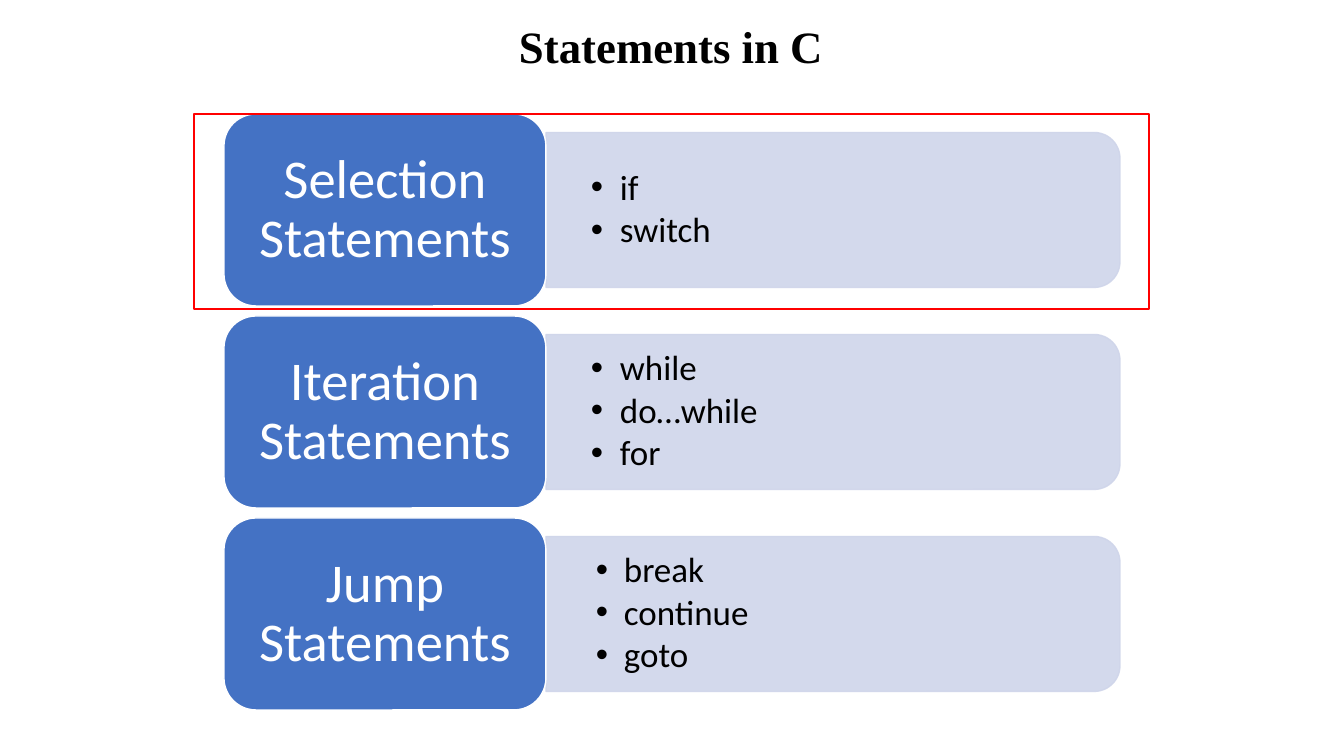
from lxml.etree import SubElement
from pptx import Presentation
from pptx.dml.color import RGBColor
from pptx.enum.shapes import MSO_SHAPE
from pptx.enum.text import MSO_ANCHOR, PP_ALIGN
from pptx.oxml.ns import qn
from pptx.util import Pt

SCALE = 914400 / 100.8
BLACK = RGBColor(0x00, 0x00, 0x00)
WHITE = RGBColor(0xFF, 0xFF, 0xFF)
BLUE = RGBColor(0x44, 0x72, 0xC4)
PALE = RGBColor(0xCF, 0xD5, 0xEA)
RED = RGBColor(0xFF, 0x00, 0x00)

GROUPS = [
    ("Selection Statements", ["if", "switch"], 64, 29),
    ("Iteration Statements", ["while", "do…while", "for"], 64, 29),
    ("Jump Statements", ["break", "continue", "goto"], 68, 28),
]


def px(size):
    return round(size * SCALE)


def write(shape, lines, font="Calibri", size=25, color=BLACK, bold=False,
          align=PP_ALIGN.LEFT, anchor=MSO_ANCHOR.MIDDLE, wrap=True,
          inset=(10, 5), spacing=None, after=0, bullet=None):
    frame = shape.text_frame
    frame.word_wrap = wrap
    frame.vertical_anchor = anchor
    frame.margin_left = frame.margin_right = px(inset[0])
    frame.margin_top = frame.margin_bottom = px(inset[1])
    for index, line in enumerate(lines):
        para = frame.add_paragraph() if index else frame.paragraphs[0]
        para.alignment = align
        para.line_spacing = spacing
        para.space_after = Pt(after)
        if bullet:
            para.level = 1
            props = para._p.get_or_add_pPr()
            props.set("marL", str(px(bullet[0])))
            props.set("indent", str(-px(bullet[1])))
            SubElement(props, qn("a:buFont"), typeface="Arial")
            SubElement(props, qn("a:buChar"), char="•")
        run = para.add_run()
        run.text = line
        run.font.name = font
        run.font.size = Pt(size)
        run.font.bold = bold
        run.font.color.rgb = color


def draw(slide, kind, box, fill=None, line=WHITE):
    shape = slide.shapes.add_shape(kind, *map(px, box))
    shape.shadow.inherit = False
    if fill is None:
        shape.fill.background()
    else:
        shape.fill.solid()
        shape.fill.fore_color.rgb = fill
    shape.line.color.rgb = line
    shape.line.width = Pt(1)
    return shape


def fade(shape, percent):
    for color in shape._element.spPr.iter(qn("a:srgbClr")):
        SubElement(color, qn("a:alpha"), val=str(percent * 1000))


def title(slide, box):
    text = slide.shapes.add_textbox(*map(px, box))
    write(text, ["Statements in C"], font="Times New Roman", size=32,
          bold=True, anchor=MSO_ANCHOR.TOP, wrap=False)


def group(slide, box, name, items, margin, hang):
    left, top, width, height = box
    label = 322
    length, depth = width - label, 155
    start, middle = left + label, top + height / 2

    bar = draw(slide, MSO_SHAPE.ROUND_2_SAME_RECTANGLE,
               (start + (length - depth) / 2, middle - length / 2,
                depth, length), PALE, PALE)
    bar.rotation = 90
    fade(bar, 90)

    text = slide.shapes.add_textbox(
        *map(px, (start, middle - 70, length - 8, 140)))
    write(text, items, spacing=0.9, after=3.3, bullet=(margin, hang))

    head = draw(slide, MSO_SHAPE.ROUNDED_RECTANGLE,
                (left, top, label, height), BLUE)
    write(head, [name], size=39, color=WHITE, align=PP_ALIGN.CENTER,
          inset=(16, 8), spacing=0.9, after=12)


def main():
    deck = Presentation()
    deck.slide_width, deck.slide_height = px(1344), px(756)
    slide = deck.slides.add_slide(deck.slide_layouts[6])
    title(slide, (509, 14, 327, 65))
    for index, parts in enumerate(GROUPS):
        group(slide, (224, 114 + 202 * index, 896, 192), *parts)
    draw(slide, MSO_SHAPE.RECTANGLE, (194, 114, 955, 195), line=RED)
    deck.save("out.pptx")


main()
